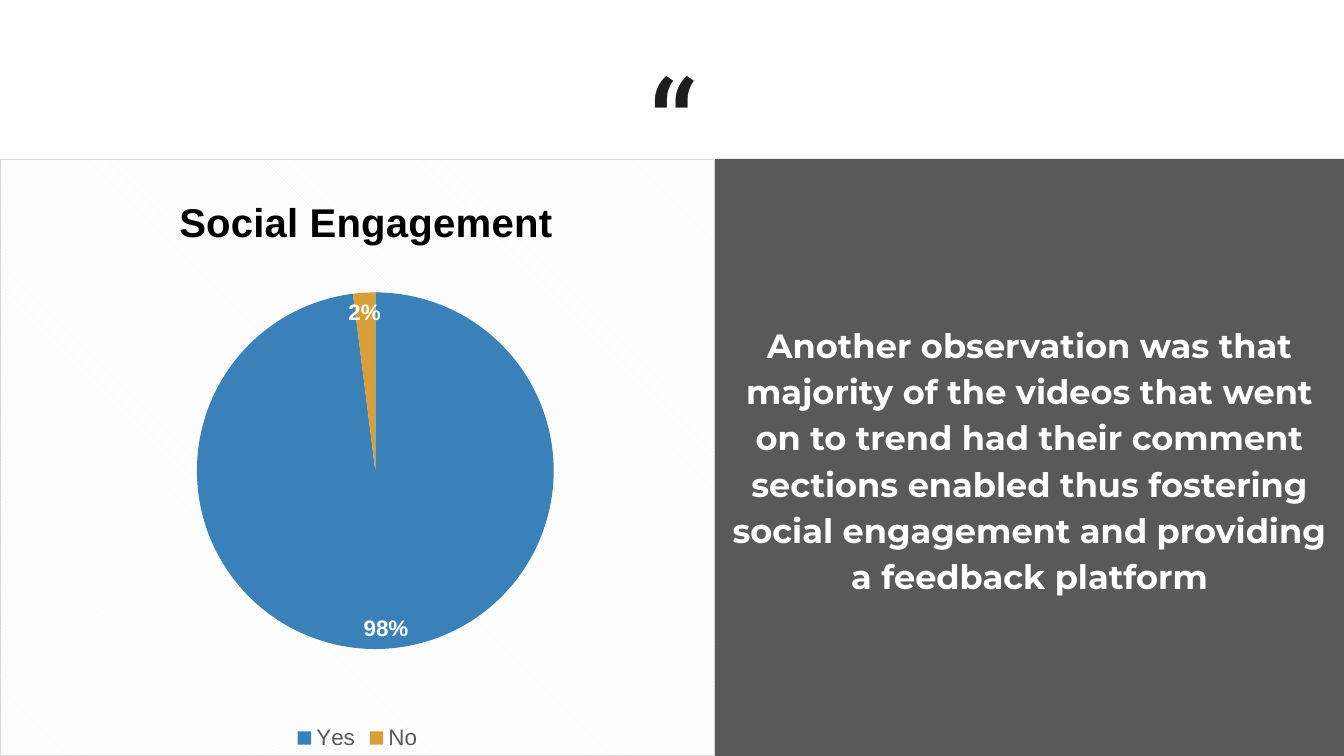
"""Build a slide with a social engagement pie chart beside a statement panel."""
from lxml import etree
from pptx import Presentation
from pptx.chart.data import CategoryChartData
from pptx.dml.color import RGBColor
from pptx.enum.chart import XL_CHART_TYPE, XL_LABEL_POSITION, XL_LEGEND_POSITION
from pptx.enum.shapes import MSO_SHAPE
from pptx.enum.text import MSO_ANCHOR, PP_ALIGN
from pptx.oxml import parse_xml
from pptx.oxml.ns import qn
from pptx.util import Pt

PIE = XL_CHART_TYPE.PIE
INSIDE = XL_LABEL_POSITION.INSIDE_END
BOTTOM = XL_LEGEND_POSITION.BOTTOM
RECT = MSO_SHAPE.RECTANGLE
MIDDLE = MSO_ANCHOR.MIDDLE
CENTER = PP_ALIGN.CENTER
PX = 914400 / 134.4
WIDE, HIGH, TOP, SPLIT = 1344, 756, 159, 715
BACK = """<c:spPr xmlns:c="http://schemas.openxmlformats.org/drawingml/2006/chart"
 xmlns:a="http://schemas.openxmlformats.org/drawingml/2006/main">
<a:pattFill prst="dkDnDiag"><a:fgClr><a:srgbClr val="F2F2F2"/></a:fgClr>
<a:bgClr><a:srgbClr val="FFFFFF"/></a:bgClr></a:pattFill>
<a:ln w="9525"><a:solidFill><a:srgbClr val="D9D9D9"/></a:solidFill></a:ln></c:spPr>"""


def style(font, color, **values):
    font.color.rgb = RGBColor.from_string(color)
    for key, value in values.items():
        setattr(font, key, value)


def place(node, index, values):
    for old in node.findall(qn("c:layout")):
        node.remove(old)
    layout = etree.Element(qn("c:layout"))
    manual = etree.SubElement(layout, qn("c:manualLayout"))
    for key, value in values.items():
        etree.SubElement(manual, qn("c:" + key)).set("val", str(value))
    node.insert(index, layout)


deck = Presentation()
deck.slide_width, deck.slide_height = round(WIDE * PX), round(HIGH * PX)
slide = deck.slides.add_slide(deck.slide_layouts[6])

quote = slide.shapes.add_textbox(*[round(n * PX) for n in (528, 31, 288, 144)])
panel = slide.shapes.add_shape(
    RECT, *[round(n * PX) for n in (SPLIT, TOP, WIDE - SPLIT, HIGH - TOP)])
panel.shadow.inherit = False
panel.fill.solid()
panel.fill.fore_color.rgb = RGBColor.from_string("595959")
panel.line.fill.background()

words = ("Another observation was that majority of the videos that went on to trend "
         "had their comment sections enabled thus fostering social engagement and "
         "providing a feedback platform")
for shape, text, color, font in (
        (quote, "“", "1D1D1B", {"name": "Roboto", "size": Pt(72)}),
        (panel, words, "FFFFFF", {"name": "Montserrat", "size": Pt(18), "bold": True})):
    frame = shape.text_frame
    frame.word_wrap = True
    for side in ("left", "top", "right", "bottom"):
        setattr(frame, "margin_" + side, round(13 * PX))
    para = frame.paragraphs[0]
    para.alignment = CENTER
    run = para.add_run()
    run.text = text
    style(run.font, color, **font)
panel.text_frame.vertical_anchor = MIDDLE
para.line_spacing = 1.15
para.space_before = Pt(6)

data = CategoryChartData()
data.categories = ["Yes", "No"]
data.add_series("Series 1", (98, 2))
chart = slide.shapes.add_chart(
    PIE, *[round(n * PX) for n in (0, TOP, SPLIT, HIGH - TOP)], data).chart
style(chart.font, "000000", name="Arial", size=Pt(10))
chart.has_title = True
title = chart.chart_title
title.include_in_layout = False
head = title.text_frame.paragraphs[0].add_run()
head.text = "Social Engagement"
style(head.font, "000000", name="Arial", size=Pt(21.6), bold=True)

chart.has_legend = True
legend = chart.legend
legend.position = BOTTOM
legend.include_in_layout = False
style(legend.font, "595959", name="Arial", size=Pt(12))

plot = chart.plots[0]
plot.vary_by_categories = True
plot.has_data_labels = True
labels = plot.data_labels
for key, value in {"show_percentage": True, "show_value": False, "position": INSIDE,
                   "number_format": "0%", "number_format_is_linked": False}.items():
    setattr(labels, key, value)
style(labels.font, "FFFFFF", name="Arial", size=Pt(12), bold=True)
for index, color in enumerate(("3A81BA", "D89F39")):
    fill = plot.series[0].points[index].format.fill
    fill.solid()
    fill.fore_color.rgb = RGBColor.from_string(color)

space = chart.element
body = space.find(qn("c:chart"))
body.addnext(parse_xml(BACK))
place(body.find(qn("c:title")), 1,
      {"xMode": "edge", "yMode": "edge", "x": 0.24, "y": 0.05})
place(body.find(qn("c:plotArea")), 0,
      {"layoutTarget": "inner", "xMode": "edge", "yMode": "edge",
       "x": 0.275, "y": 0.15, "w": 0.5, "h": 0.745})

deck.save("out.pptx")
